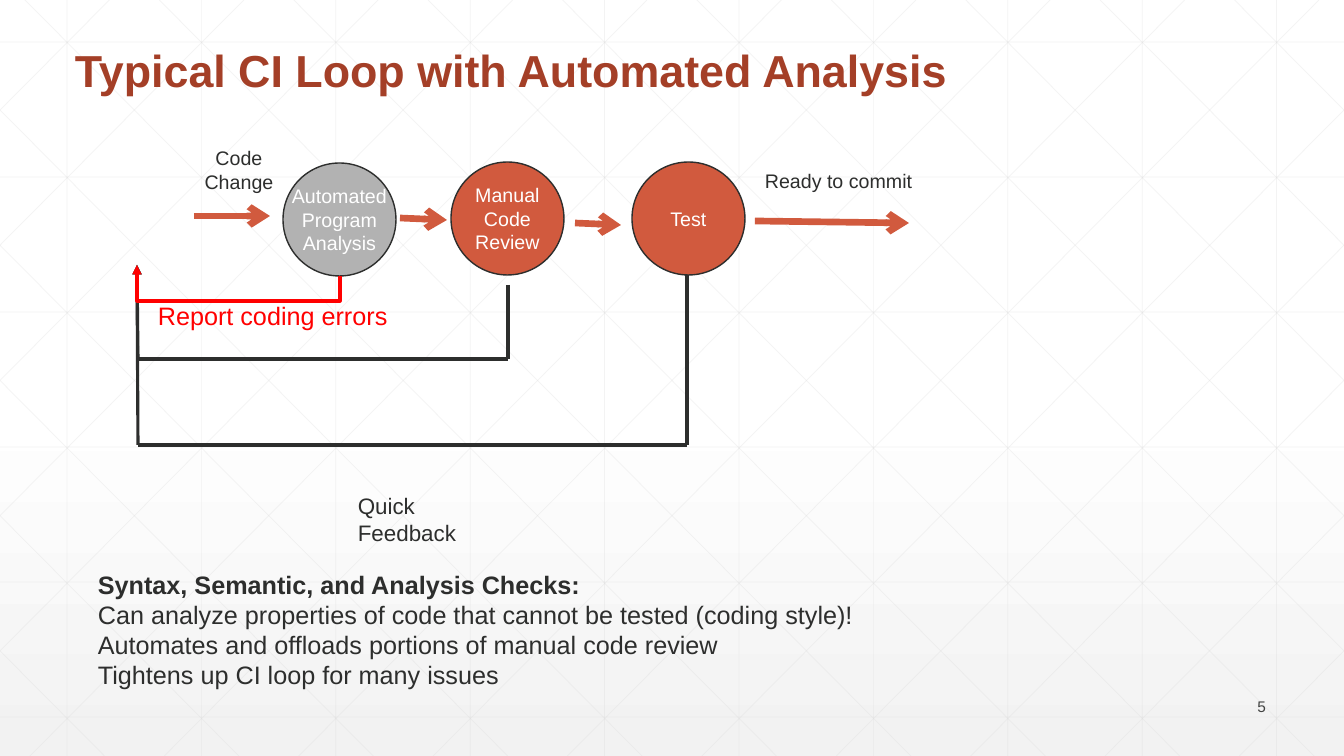
from lxml import etree
from pptx import Presentation
from pptx.dml.color import RGBColor
from pptx.enum.shapes import MSO_CONNECTOR, MSO_SHAPE
from pptx.enum.text import MSO_ANCHOR, PP_ALIGN
from pptx.oxml.ns import qn
from pptx.util import Pt

STRAIGHT, ELBOW = MSO_CONNECTOR.STRAIGHT, MSO_CONNECTOR.ELBOW
TOP, MIDDLE, BOTTOM = MSO_ANCHOR.TOP, MSO_ANCHOR.MIDDLE, MSO_ANCHOR.BOTTOM
LEFT, CENTER, RIGHT = PP_ALIGN.LEFT, PP_ALIGN.CENTER, PP_ALIGN.RIGHT

WHITE = RGBColor(0xFF, 0xFF, 0xFF)
PALE = RGBColor(0xF2, 0xF2, 0xF2)
GRID = RGBColor(0xD9, 0xD9, 0xD9)
GRAY = RGBColor(0xB2, 0xB2, 0xB2)
INK = RGBColor(0x2D, 0x2E, 0x2D)
NUMBER_INK = RGBColor(0x42, 0x43, 0x42)
ORANGE = RGBColor(0xD1, 0x5A, 0x3E)
RUST = RGBColor(0xA4, 0x3F, 0x27)
RED = RGBColor(0xFF, 0x00, 0x00)

WIDTH, HEIGHT = 1344, 756
EMU_PER_PX = 12192000 / WIDTH
FONT = "Arial"

# Stage circles: left, top, fill, lines
CIRCLE_SIZE = 113
STAGES = [
    (283, 163, GRAY, ["Automated", "Program", "Analysis"]),
    (451, 162, ORANGE, ["Manual", "Code", "Review"]),
    (632, 162, ORANGE, ["Test"]),
]

# Flow arrows: from x, y, to x, y
FLOW = [
    (194, 216, 270, 216),
    (400, 218, 447, 220),
    (575, 223, 621, 225),
    (755, 221, 909, 223),
]

# Feedback loops: from x, y, bottom of the loop
RAIL_X, ARROW_X, ARROW_Y = 138, 137, 265
LOOPS = [(508, 285, 359), (687, 275, 445)]
ERROR_START, ERROR_BOTTOM = (340, 276), 301

# Texts: left, top, width, height, lines, format
TEXTS = [
    (65, 23, 1066, 79, ["Typical CI Loop with Automated Analysis"],
     dict(size=32, color=RUST, bold_lines=1, anchor=BOTTOM, spacing=0.9)),
    (189, 141, 100, 57, ["Code Change"], dict(size=14, align=CENTER)),
    (755, 164, 209, 33, ["Ready to commit"], dict(size=14)),
    (148, 295, 252, 40, ["Report coding errors"], dict(size=18, color=RED)),
    (348, 487, 130, 62, ["Quick Feedback"], dict(size=16)),
    (88, 564, 875, 132, [
        "Syntax, Semantic, and Analysis Checks:",
        "Can analyze properties of code that cannot be tested (coding style)!",
        "Automates and offloads portions of manual code review",
        "Tightens up CI loop for many issues",
    ], dict(size=18, bold_lines=1)),
    (1175, 694, 101, 24, ["5"],
     dict(size=11, color=NUMBER_INK, align=RIGHT, anchor=MIDDLE)),
]


def px(*lengths):
    return [round(length * EMU_PER_PX) for length in lengths]


def add_line(slide, ends, color, weight, head=None, opacity=None, kind=STRAIGHT):
    connector = slide.shapes.add_connector(kind, *px(*ends))
    connector.line.color.rgb = color
    connector.line.width = Pt(weight)
    properties = connector.element.spPr
    outline = properties.find(qn("a:ln"))
    if opacity:
        rgb = outline.find(".//" + qn("a:srgbClr"))
        etree.SubElement(rgb, qn("a:alpha"), val=str(opacity * 1000))
    if head:
        etree.SubElement(outline, qn("a:tailEnd"), type=head)
    etree.SubElement(properties, qn("a:effectLst"))
    return connector


def write(frame, lines, size, color=INK, align=LEFT, anchor=TOP,
          bold_lines=0, spacing=1.0, wrap=True):
    frame.word_wrap = wrap
    frame.vertical_anchor = anchor
    for index, line in enumerate(lines):
        paragraph = frame.paragraphs[0] if index == 0 else frame.add_paragraph()
        paragraph.text = line
        paragraph.alignment = align
        paragraph.line_spacing = spacing
        font = dict(name=FONT, size=Pt(size), bold=index < bold_lines)
        for name, value in font.items():
            setattr(paragraph.runs[0].font, name, value)
        paragraph.runs[0].font.color.rgb = color


def add_backdrop(slide):
    """Soft vertical gradient under a lattice of straight and diagonal lines."""
    fill = slide.background.fill
    fill.gradient()
    fill.gradient_angle = 270
    for stop, position, color in zip(fill.gradient_stops, (0.53, 1), (WHITE, PALE)):
        stop.position = position
        stop.color.rgb = color

    step, slope = WIDTH / 10, 1.006
    lattice = [(67 + step * i, 0, 67 + step * i, HEIGHT) for i in range(10)]
    lattice += [(0, 42 + 135 * i, WIDTH, 42 + 135 * i) for i in range(6)]
    for i in range(-5, 10):
        crossing = 25 + step * i
        x1 = max(crossing, 0)
        x2 = min(crossing + HEIGHT / slope, WIDTH)
        y1, y2 = (x1 - crossing) * slope, (x2 - crossing) * slope
        lattice += [(x1, y1, x2, y2), (WIDTH - x1, y1, WIDTH - x2, y2)]
    for ends in lattice:
        add_line(slide, ends, GRID, 0.5, opacity=30)


def add_stage(slide, left, top, color, lines):
    circle = slide.shapes.add_shape(
        MSO_SHAPE.OVAL, *px(left, top, CIRCLE_SIZE, CIRCLE_SIZE))
    circle.shadow.inherit = False
    circle.fill.solid()
    circle.fill.fore_color.rgb = color
    circle.line.color.rgb = INK
    circle.line.width = Pt(1)
    write(circle.text_frame, lines, 14, WHITE, CENTER, MIDDLE, wrap=False)


def add_error_loop(slide):
    """Elbow arrow, turned a quarter so that it leaves the circle downwards."""
    x, y = ERROR_START
    span, rise = x - ARROW_X, y - ARROW_Y
    middle_x, middle_y = (x + ARROW_X) / 2, (y + ARROW_Y) / 2
    ends = (middle_x + rise / 2, middle_y - span / 2,
            middle_x - rise / 2, middle_y + span / 2)
    elbow = add_line(slide, ends, RED, 2.25, "triangle", kind=ELBOW)
    properties = elbow.element.spPr
    properties.find(qn("a:xfrm")).set("rot", str(90 * 60000))
    bend = round((y - ERROR_BOTTOM) / rise * 100000)
    adjustments = properties.find(qn("a:prstGeom")).find(qn("a:avLst"))
    etree.SubElement(adjustments, qn("a:gd"), name="adj1", fmla=f"val {bend}")


def main():
    presentation = Presentation()
    presentation.slide_width, presentation.slide_height = px(WIDTH, HEIGHT)
    slide = presentation.slides.add_slide(presentation.slide_layouts[6])
    add_backdrop(slide)
    for stage in STAGES:
        add_stage(slide, *stage)
    for ends in FLOW:
        add_line(slide, ends, ORANGE, 4.75, "arrow")
    for x, y, bottom in LOOPS:
        add_line(slide, (x, y, x, bottom), INK, 2.25)
        add_line(slide, (x, bottom, RAIL_X, bottom), INK, 2.25)
        add_line(slide, (RAIL_X, bottom, ARROW_X, ARROW_Y), INK, 2.25, "triangle")
    add_error_loop(slide)
    for left, top, width, height, lines, style in TEXTS:
        box = slide.shapes.add_textbox(*px(left, top, width, height))
        write(box.text_frame, lines, **style)
    presentation.save("out.pptx")


if __name__ == "__main__":
    main()
